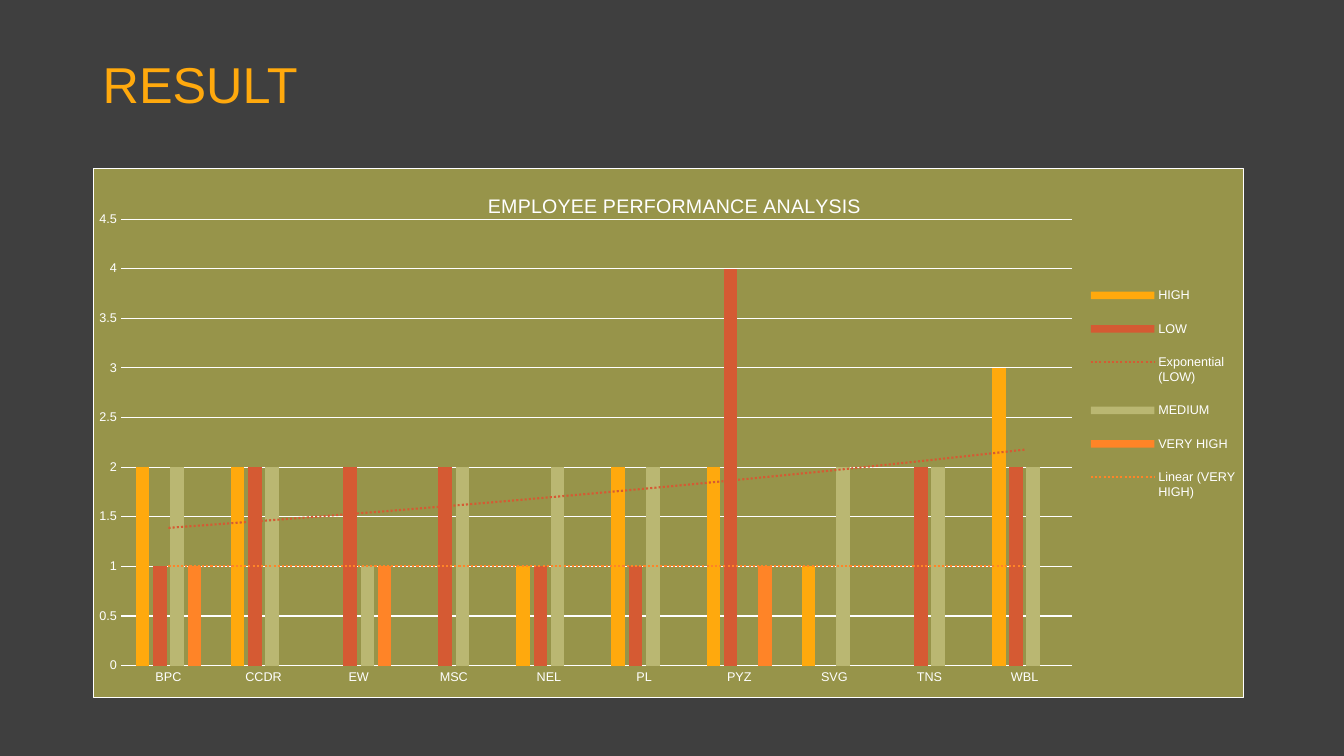
from lxml import etree
from pptx import Presentation
from pptx.chart.data import CategoryChartData
from pptx.dml.color import RGBColor
from pptx.enum.chart import XL_CHART_TYPE, XL_LEGEND_POSITION, XL_TICK_MARK
from pptx.enum.text import MSO_ANCHOR
from pptx.oxml import parse_xml
from pptx.oxml.ns import qn
from pptx.util import Inches, Pt

COLUMN = XL_CHART_TYPE.COLUMN_CLUSTERED
RIGHT = XL_LEGEND_POSITION.RIGHT
NONE = XL_TICK_MARK.NONE
MIDDLE = MSO_ANCHOR.MIDDLE

# Content
HEAD = "RESULT"
TITLE = "EMPLOYEE PERFORMANCE ANALYSIS"
UNITS = ["BPC", "CCDR", "EW", "MSC", "NEL", "PL", "PYZ", "SVG", "TNS", "WBL"]
SERIES = [  # name, colour, trend, values
    ("HIGH", "FFA90D", None, [2, 2, None, None, 1, 2, 2, 1, None, 3]),
    ("LOW", "D55A33", "exp", [1, 2, 2, 2, 1, 1, 4, None, 2, 2]),
    ("MEDIUM", "BAB772", None, [2, 2, 1, 2, 2, 2, None, 2, 2, 2]),
    ("VERY HIGH", "FF8427", "linear",
     [1, None, 1, None, None, None, 1, None, None, None]),
]
FONT, WHITE, GOLD, GREY, OLIVE = "Arial", "FFFFFF", "FFA90D", "3F3F3F", "97944A"

# Layout: slide in inches, chart parts as shares of the chart
WIDE, HIGH = 13.33, 7.5
LEFT = 0.92
HEAD_BOX = (LEFT, 0.4, 11.5, 0.94)
CHART_BOX = (LEFT, 1.67, 11.42, 5.26)
TITLE_AT = {"x": 0.34, "y": 0.04}
PLOT_AT = {"x": 0.024, "y": 0.095, "w": 0.827, "h": 0.844}
KEY_AT = {"x": 0.86, "y": 0.19, "w": 0.14, "h": 0.47}
NS = ('xmlns:c="http://schemas.openxmlformats.org/drawingml/2006/chart" '
      'xmlns:a="http://schemas.openxmlformats.org/drawingml/2006/main"')


def rgb(code):
    return RGBColor.from_string(code)


def style(font, size, color=WHITE):
    font.name, font.size, font.bold = FONT, Pt(size), False
    font.color.rgb = rgb(color)


def write(frame, text, size=10, color=WHITE, space=None):
    par = frame.paragraphs[0]
    par.line_spacing = space
    run = par.add_run()
    run.text = text
    style(run.font, size, color)


def rule(line):
    line.color.rgb, line.width = rgb(WHITE), Pt(0.75)


def place(part, spot, inner=False):
    """Give a chart part a fixed place."""
    old = part.find(qn("c:layout"))
    if old is not None:
        part.remove(old)
    tags = '<c:layoutTarget val="inner"/>' if inner else ""
    tags += "".join(f'<c:{k}Mode val="edge"/>' for k in "xy")
    tags += "".join(f'<c:{k} val="{v}"/>' for k, v in spot.items())
    node = parse_xml(f"<c:layout {NS}><c:manualLayout>{tags}"
                     "</c:manualLayout></c:layout>")
    lead = [kid for kid in part
            if etree.QName(kid).localname in ("tx", "legendPos", "legendEntry")]
    part.insert(len(lead), node)


def stroke(color, width, dash="solid"):
    return (f'<a:ln w="{Pt(width)}"><a:solidFill><a:srgbClr val="{color}"/>'
            f'</a:solidFill><a:prstDash val="{dash}"/></a:ln>')


def trend(ser, kind, color):
    node = parse_xml(
        f'<c:trendline {NS}><c:spPr>{stroke(color, 1.5, "sysDot")}</c:spPr>'
        f'<c:trendlineType val="{kind}"/><c:dispRSqr val="0"/>'
        '<c:dispEq val="0"/></c:trendline>')
    ser.find(qn("c:cat")).addprevious(node)


deck = Presentation()
deck.slide_width, deck.slide_height = Inches(WIDE), Inches(HIGH)
slide = deck.slides.add_slide(deck.slide_layouts[6])
slide.background.fill.solid()
slide.background.fill.fore_color.rgb = rgb(GREY)

# Heading
frame = slide.shapes.add_textbox(*map(Inches, HEAD_BOX)).text_frame
frame.word_wrap, frame.vertical_anchor = True, MIDDLE
write(frame, HEAD, size=36, color=GOLD, space=0.9)

# Chart
data = CategoryChartData(number_format="General")
data.categories = UNITS
for name, _, _, vals in SERIES:
    data.add_series(name, vals)
chart = slide.shapes.add_chart(COLUMN, *map(Inches, CHART_BOX), data).chart
style(chart.font, 10)
root = chart._chartSpace
root.chart.addnext(parse_xml(
    f'<c:spPr {NS}><a:solidFill><a:srgbClr val="{OLIVE}"/></a:solidFill>'
    f"{stroke(WHITE, 0.75)}</c:spPr>"))
write(chart.chart_title.text_frame, TITLE, size=14)
chart.chart_title.include_in_layout = False
place(chart.chart_title._element, TITLE_AT)
place(root.chart.plotArea, PLOT_AT, inner=True)

# Columns and trend lines
plot = chart.plots[0]
plot.gap_width, plot.overlap, plot.vary_by_categories = 219, -27, False
for ser, (_, color, kind, _) in zip(plot.series, SERIES):
    ser.format.fill.solid()
    ser.format.fill.fore_color.rgb = rgb(color)
    if kind:
        trend(ser._element, kind, color)

# Axes
cats, vals = chart.category_axis, chart.value_axis
for axis in (cats, vals):
    axis.major_tick_mark = axis.minor_tick_mark = NONE
    style(axis.tick_labels.font, 9)
rule(cats.format.line)
vals.format.line.fill.background()
vals.minimum_scale, vals.maximum_scale, vals.major_unit = 0, 4.5, 0.5
rule(vals.major_gridlines.format.line)

# Legend
chart.has_legend = True
key = chart.legend
key.position, key.include_in_layout = RIGHT, False
style(key.font, 9)
place(key._element, KEY_AT)

deck.save("out.pptx")
